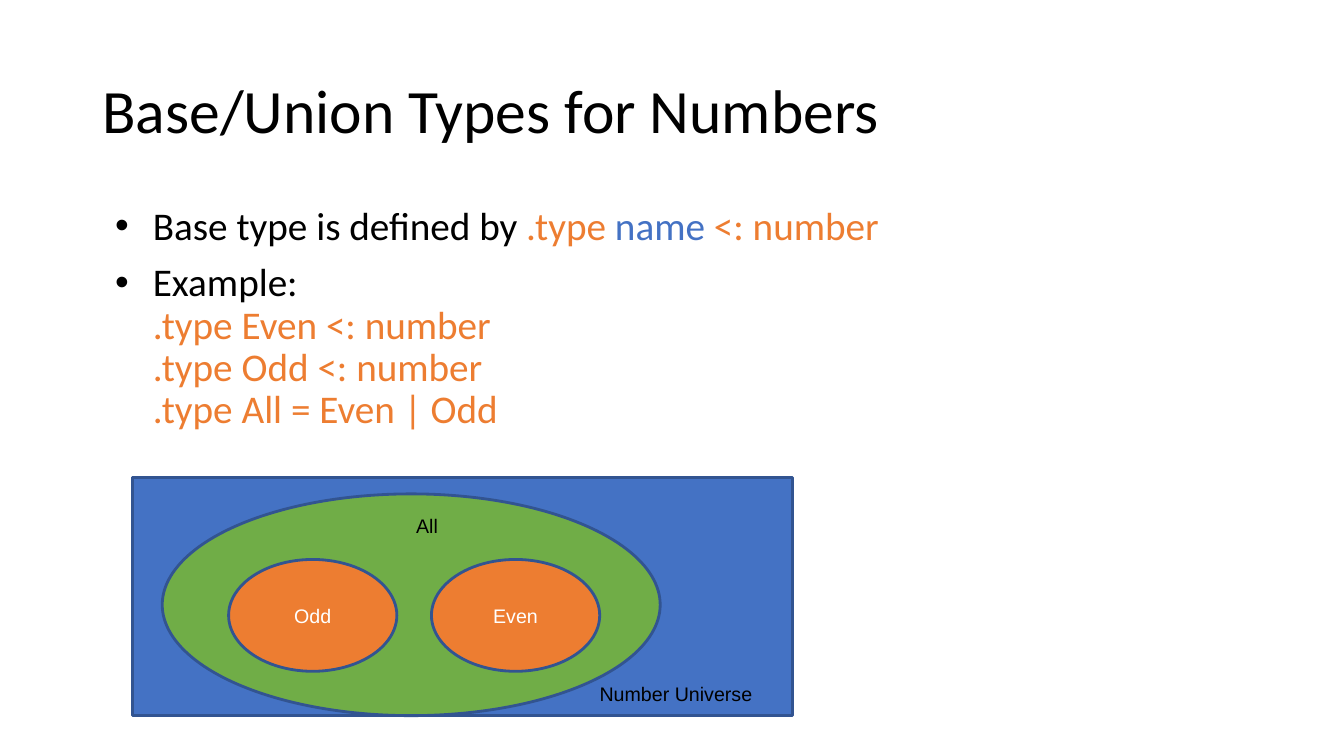
from pptx import Presentation
from pptx.dml.color import RGBColor
from pptx.enum import shapes, text
from pptx.oxml import parse_xml
from pptx.oxml.ns import nsdecls
from pptx.util import Pt

BLACK = RGBColor(0x00, 0x00, 0x00)
WHITE = RGBColor(0xFF, 0xFF, 0xFF)
BLUE = RGBColor(0x44, 0x72, 0xC4)
NAVY = RGBColor(0x32, 0x54, 0x91)
GREEN = RGBColor(0x70, 0xAD, 0x47)
ORANGE = RGBColor(0xED, 0x7D, 0x31)

RECTANGLE = shapes.MSO_SHAPE.RECTANGLE
OVAL = shapes.MSO_SHAPE.OVAL


def apply(target, values):
    for name, value in values.items():
        setattr(target, name, value)


def place(shape, box):
    apply(shape, dict(zip(("left", "top", "width", "height"), map(Pt, box))))


class SlideBuilder:
    heading_font = "Calibri"
    label_font = "Arial"
    label_size = 14
    outline_width = 2

    def __init__(self, slide):
        self.slide = slide

    def add_runs(self, paragraph, runs, font, size):
        """Add (text, colour) runs; a newline becomes a line break."""
        for words, color in runs:
            for index, line in enumerate(words.split("\n")):
                if index:
                    paragraph.add_line_break()
                if line:
                    run = paragraph.add_run()
                    run.text = line
                    apply(run.font, {"name": font, "size": Pt(size)})
                    run.font.color.rgb = color

    def title(self, words, box):
        shape = self.slide.shapes.title
        place(shape, box)
        apply(shape.text_frame, {
            "vertical_anchor": text.MSO_ANCHOR.MIDDLE,
            "auto_size": text.MSO_AUTO_SIZE.NONE,
        })
        paragraph = shape.text_frame.paragraphs[0]
        apply(paragraph, {"alignment": text.PP_ALIGN.LEFT, "line_spacing": 0.9})
        self.add_runs(paragraph, [(words, BLACK)], self.heading_font, 44)

    def bullets(self, items, box):
        shape = self.slide.placeholders[1]
        place(shape, box)
        frame = shape.text_frame
        frame.auto_size = text.MSO_AUTO_SIZE.NONE
        for index, runs in enumerate(items):
            paragraph = frame.add_paragraph() if index else frame.paragraphs[0]
            apply(paragraph, {"line_spacing": 0.9, "space_before": Pt(10)})
            properties = paragraph._p.get_or_add_pPr()
            properties.set("marL", str(Pt(36)))
            properties.set("indent", str(Pt(-27)))
            for element in (
                f'<a:buClr {nsdecls("a")}><a:srgbClr val="{BLACK}"/></a:buClr>',
                f'<a:buFont {nsdecls("a")} typeface="Arial"/>',
                f'<a:buChar {nsdecls("a")} char="•"/>',
            ):
                properties.append(parse_xml(element))
            self.add_runs(paragraph, runs, self.heading_font, 28)

    def region(self, kind, box, fill, words=""):
        shape = self.slide.shapes.add_shape(kind, *map(Pt, box))
        shape.shadow.inherit = False
        shape.fill.solid()
        shape.fill.fore_color.rgb = fill
        shape.line.color.rgb = NAVY
        shape.line.width = Pt(self.outline_width)
        if words:
            shape.text_frame.vertical_anchor = text.MSO_ANCHOR.MIDDLE
            paragraph = shape.text_frame.paragraphs[0]
            paragraph.alignment = text.PP_ALIGN.CENTER
            self.add_runs(paragraph, [(words, WHITE)],
                          self.label_font, self.label_size)

    def label(self, words, box):
        frame = self.slide.shapes.add_textbox(*map(Pt, box)).text_frame
        apply(frame, {
            "word_wrap": False,
            "auto_size": text.MSO_AUTO_SIZE.SHAPE_TO_FIT_TEXT,
        })
        self.add_runs(frame.paragraphs[0], [(words, BLACK)],
                      self.label_font, self.label_size)


def main():
    presentation = Presentation()
    apply(presentation, {"slide_width": Pt(960), "slide_height": Pt(540)})
    slide = presentation.slides.add_slide(presentation.slide_layouts[1])
    builder = SlideBuilder(slide)

    builder.title("Base/Union Types for Numbers", (66, 28.8, 828, 104.4))
    builder.bullets([
        [("Base type is defined by ", BLACK), (".type ", ORANGE),
         ("name", BLUE), (" <: number", ORANGE)],
        [("Example:\n", BLACK),
         (".type Even <: number\n.type Odd <: number\n.type All = Even | Odd",
          ORANGE)],
    ], (66, 144, 828, 342.7))

    builder.region(RECTANGLE, (94.4, 340.8, 471.6, 170.4), BLUE)
    builder.label("Number Universe", (421.2, 483.8, 144, 28.8))
    builder.region(OVAL, (115.9, 352.8, 355.7, 158.4), GREEN)
    for index, name in enumerate(("Odd", "Even")):
        builder.region(OVAL, (163.3 + 144.9 * index, 399.6, 120.2, 79.9),
                       ORANGE, name)
    builder.label("All", (290.2, 363.6, 33.1, 28.8))

    presentation.save("out.pptx")


if __name__ == "__main__":
    main()
